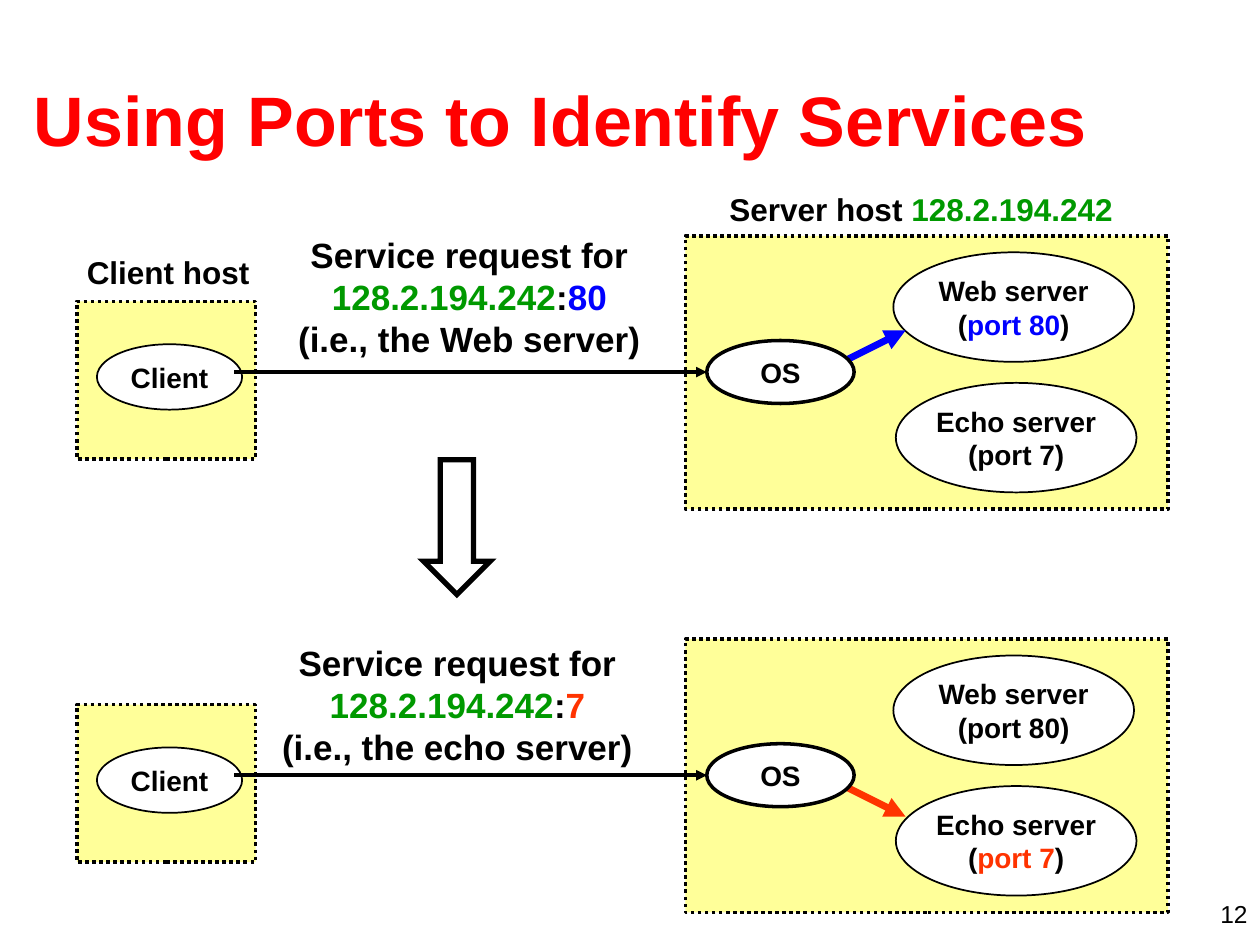
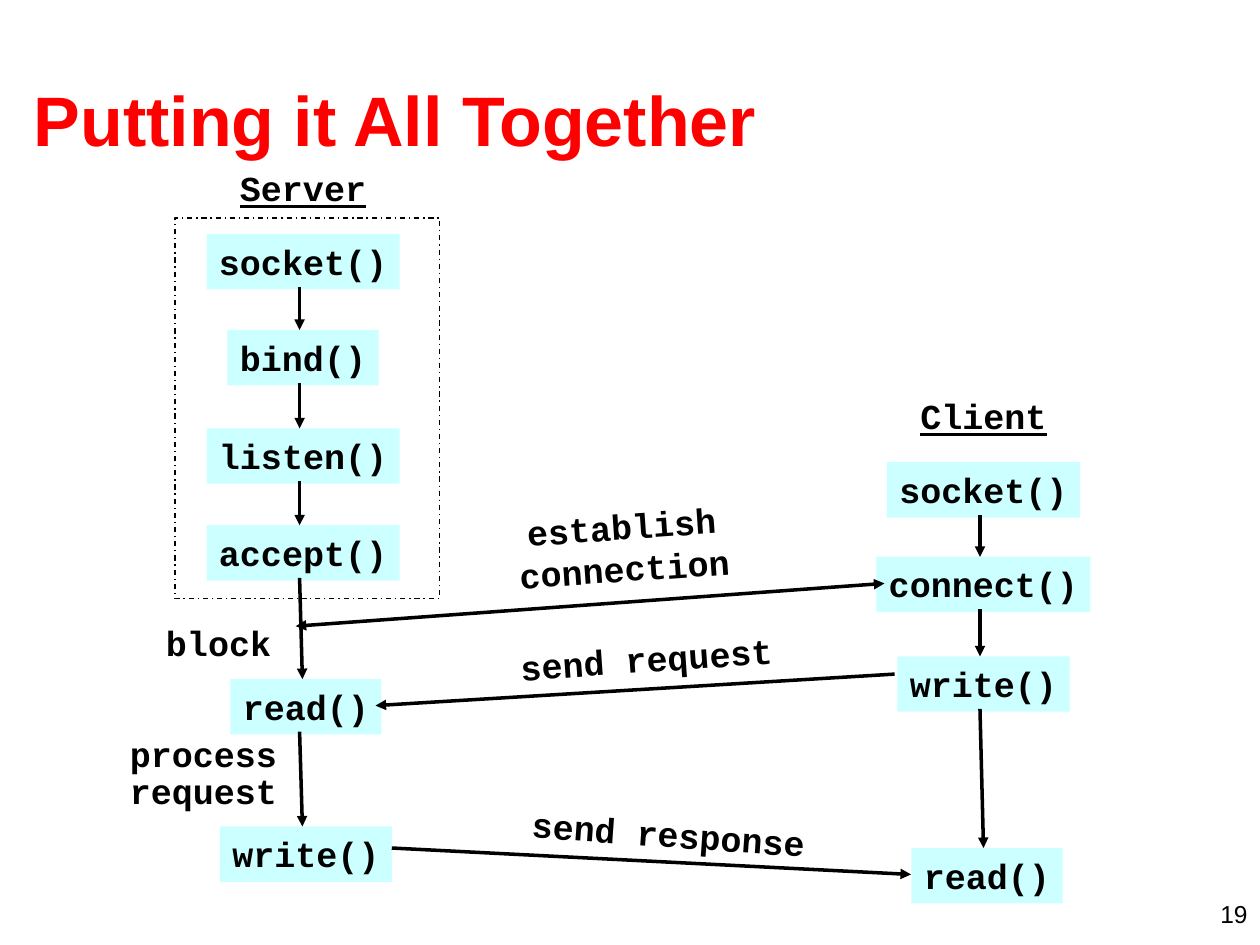
import itertools

import lxml.etree
import pptx
import pptx.dml.color
import pptx.enum.dml
import pptx.enum.shapes
import pptx.enum.text
import pptx.oxml.ns
import pptx.util

Pt = pptx.util.Pt
RGB = pptx.dml.color.RGBColor
SHAPE = pptx.enum.shapes.MSO_SHAPE
DASH = pptx.enum.dml.MSO_LINE
ALIGN = pptx.enum.text.PP_ALIGN
ANCHOR = pptx.enum.text.MSO_ANCHOR
qn = pptx.oxml.ns.qn

BLACK = RGB(0x00, 0x00, 0x00)
WHITE = RGB(0xFF, 0xFF, 0xFF)
RED = RGB(0xFF, 0x00, 0x00)
BLUE = RGB(0x00, 0x00, 0xFF)
GREEN = RGB(0x00, 0x99, 0x00)
ORANGE = RGB(0xFF, 0x33, 0x00)
HOST_YELLOW = RGB(0xFF, 0xFF, 0x99)
CALL_CYAN = RGB(0xCC, 0xFF, 0xFF)

TITLE_FONT = {"name": "Arial", "size": Pt(40), "bold": True}
NUMBER_FONT = {"name": "Arial", "size": Pt(14), "bold": False}
PROCESS_FONT = {"name": "Arial", "size": Pt(16), "bold": True}
HOST_FONT = {"name": "Arial", "size": Pt(18), "bold": True}
REQUEST_FONT = {"name": "Arial", "size": Pt(20), "bold": True}
CODE_FONT = {"name": "Courier New", "size": Pt(20), "bold": True}
HEADING_FONT = {**CODE_FONT, "underline": True}

SERVER_ADDRESS = "128.2.194.242"
CHAR_WIDTH, LINE_HEIGHT = 12, 23.7  # one character and one line of CODE_FONT


def set_format(target, values):
    for name, value in values.items():
        setattr(target, name, value)


def write(frame, lines, font, align=ALIGN.CENTER, anchor=ANCHOR.TOP, color=BLACK,
          spacing=None, wrap=False):
    """Each line is a string or a list of (text, colour) runs."""
    set_format(frame, {"word_wrap": wrap, "vertical_anchor": anchor,
                       "auto_size": pptx.enum.text.MSO_AUTO_SIZE.NONE})
    for i, line in enumerate(lines):
        paragraph = frame.add_paragraph() if i else frame.paragraphs[0]
        set_format(paragraph, {"alignment": align, "line_spacing": spacing})
        for text, run_color in [(line, color)] if isinstance(line, str) else line:
            run = paragraph.add_run()
            run.text = text
            set_format(run.font, font)
            run.font.color.rgb = run_color


def add_label(slide, box, lines, font, **layout):
    label = slide.shapes.add_textbox(*map(Pt, box))
    write(label.text_frame, lines, font, **layout)
    return label


def add_shape(slide, kind, box, fill=None, line=None, dash=None):
    shape = slide.shapes.add_shape(kind, *map(Pt, box))
    shape.shadow.inherit = False
    if fill is None:
        shape.fill.background()
    else:
        shape.fill.solid()
        shape.fill.fore_color.rgb = fill
    if line is None:
        shape.line.fill.background()
    else:
        shape.line.color.rgb = BLACK
        set_format(shape.line, {"width": Pt(line), "dash_style": dash})
    return shape


def add_arrow(slide, start, end, color=BLACK, width=2, ends=("tailEnd",)):
    arrow = slide.shapes.add_connector(
        pptx.enum.shapes.MSO_CONNECTOR.STRAIGHT, *map(Pt, (*start, *end)))
    arrow.line.color.rgb = color
    arrow.line.width = Pt(width)
    for name in ends:
        lxml.etree.SubElement(arrow.line._get_or_add_ln(), qn("a:" + name), type="triangle")
    lxml.etree.SubElement(arrow._element.spPr, qn("a:effectLst"))


def start_slide(deck, title, number):
    slide = deck.slides.add_slide(deck.slide_layouts[5])
    heading = slide.shapes.title
    set_format(heading, {"left": Pt(12.2), "top": Pt(23), "width": Pt(690), "height": Pt(90)})
    write(heading.text_frame, [title], TITLE_FONT, ALIGN.LEFT, ANCHOR.MIDDLE, RED, wrap=True)
    add_label(slide, (552, 510, 168, 18), [number], NUMBER_FONT, align=ALIGN.RIGHT, wrap=True)
    return slide


# Ports slide

def add_process(slide, box, lines, line=1):
    process = add_shape(slide, SHAPE.OVAL, box, WHITE, line)
    write(process.text_frame, lines, PROCESS_FONT, anchor=ANCHOR.MIDDLE)


def add_client_host(slide, left, top):
    add_shape(slide, SHAPE.RECTANGLE, (left, top, 102.2, 90), HOST_YELLOW, 2, DASH.ROUND_DOT)
    add_process(slide, (left + 11.5, top + 24.5, 83, 37.4), ["Client"])


def add_server_host(slide, left, top, chosen, color):
    add_shape(slide, SHAPE.RECTANGLE, (left, top, 275.8, 156.2), HOST_YELLOW, 2, DASH.ROUND_DOT)
    services = [("Web server", "port 80", 118.8, 9.4), ("Echo server", "port 7", 120.2, 84)]
    for name, port, dx, dy in services:
        port_color = color if port == chosen else BLACK
        add_process(slide, (left + dx, top + dy, 137.5, 62.6),
                    [name, [("(", BLACK), (port, port_color), (")", BLACK)]])
    # The port arrow leaves the OS towards the chosen service
    start, end = (72, 54) if chosen == "port 80" else (83.5, 101.5)
    add_arrow(slide, (left + 89.8, top + start), (left + 125.8, top + end), color, 4)
    add_process(slide, (left + 12.2, top + 59.8, 84.2, 36), ["OS"], line=2)


def add_request(slide, left, top, port, service, color, label_centre, label_top):
    """One client, its request and the server that answers it."""
    add_client_host(slide, left, top + 37.4)
    add_server_host(slide, left + 347.8, top, f"port {port}", color)
    add_arrow(slide, (left + 90, top + 77.8), (left + 360, top + 77.8))
    add_label(slide, (left + label_centre - 115, top + label_top, 230, 79.2),
              ["Service request for",
               [(SERVER_ADDRESS, GREEN), (":", BLACK), (port, color)],
               f"(i.e., the {service} server)"], REQUEST_FONT)


def build_ports_slide(deck):
    slide = start_slide(deck, "Using Ports to Identify Services", "12")
    add_label(slide, (42.5, 141.1, 107.3, 28.8), ["Client host"], HOST_FONT, align=ALIGN.LEFT)
    add_label(slide, (409.7, 105.1, 233.3, 28.8),
              [[("Server host ", BLACK), (SERVER_ADDRESS, GREEN)]], HOST_FONT, align=ALIGN.LEFT)
    add_request(slide, 43.9, 134.8, "80", "Web", BLUE, 224.3, -5)
    add_request(slide, 43.9, 365.2, "7", "echo", ORANGE, 217.5, -2.2)
    next_step = add_shape(slide, SHAPE.DOWN_ARROW, (242, 262.8, 38.2, 77), line=3)
    lxml.etree.SubElement(next_step.line._get_or_add_ln(), qn("a:miter"), lim="800000")


# Socket calls slide

def centred_box(x, y, lines, spacing=1):
    width = max(map(len, lines)) * CHAR_WIDTH + 14.4
    height = len(lines) * LINE_HEIGHT * spacing + 8
    return x - width / 2, y - height / 2, width, height


def add_note(slide, x, y, lines, font=CODE_FONT, spacing=1, rotation=0):
    note = add_label(slide, centred_box(x, y, lines, spacing), lines, font, spacing=spacing)
    note.rotation = rotation


def add_call_column(slide, x, top, heading, calls):
    """Calls are (name, offset from top, shift to the right)."""
    add_note(slide, x, top + 15.8, [heading], HEADING_FONT)
    for name, dy, shift in calls:
        box = centred_box(x + shift, top + dy + 15.8, [name])
        call = add_shape(slide, SHAPE.RECTANGLE, box, CALL_CYAN)
        write(call.text_frame, [name], CODE_FONT)
    for (_, dy, _), (_, next_dy, shift) in itertools.pairwise(calls):
        add_arrow(slide, (x - 2, top + dy + 30), (x - 2 + shift, top + next_dy))


def add_server(slide, x, top):
    add_call_column(slide, x, top, "Server", [
        ("socket()", 42.4, 0), ("bind()", 97.2, 0), ("listen()", 153.4, 0),
        ("accept()", 208.8, 0), ("read()", 296.7, 1.6), ("write()", 380.9, 1.6)])
    add_shape(slide, SHAPE.RECTANGLE, (x - 73.2, top + 33.2, 151.2, 217.4),
              line=0.75, dash=DASH.DASH_DOT)
    add_note(slide, x - 48.3, top + 275.8, ["block"])
    add_note(slide, x - 56.9, top + 351.4, ["process", "request"], spacing=0.9)


def add_client(slide, x, top):
    add_call_column(slide, x, top, "Client", [
        ("socket()", 42.4, 0), ("connect()", 96.4, 0),
        ("write()", 153.3, 0), ("read()", 262.8, 2)])


def add_messages(slide, left, top):
    """Messages are start, end, arrowheads, label centre, label and its turn."""
    messages = [
        ((336.4, 0), (0, 24.4), ("headEnd", "tailEnd"),
         (187, -20.6), ["establish", "connection"], -4),
        ((342.2, 51.8), (45.6, 69.8), ("tailEnd",), (200.4, 43.2), ["send request"], -4),
        ((54.9, 151.2), (351.6, 166.3), ("tailEnd",), (213, 143.2), ["send response"], 4.1),
    ]
    for (x1, y1), (x2, y2), ends, (x, y), lines, turn in messages:
        add_arrow(slide, (left + x1, top + y1), (left + x2, top + y2), ends=ends)
        add_note(slide, left + x, top + y, lines, rotation=turn)


def build_calls_slide(deck):
    slide = start_slide(deck, "Putting it All Together", "19")
    add_server(slide, 173.2, 91.4)
    add_client(slide, 562, 221.8)
    add_messages(slide, 169, 333.4)


deck = pptx.Presentation()
set_format(deck, {"slide_width": Pt(720), "slide_height": Pt(540)})
build_ports_slide(deck)
build_calls_slide(deck)
deck.save("out.pptx")
